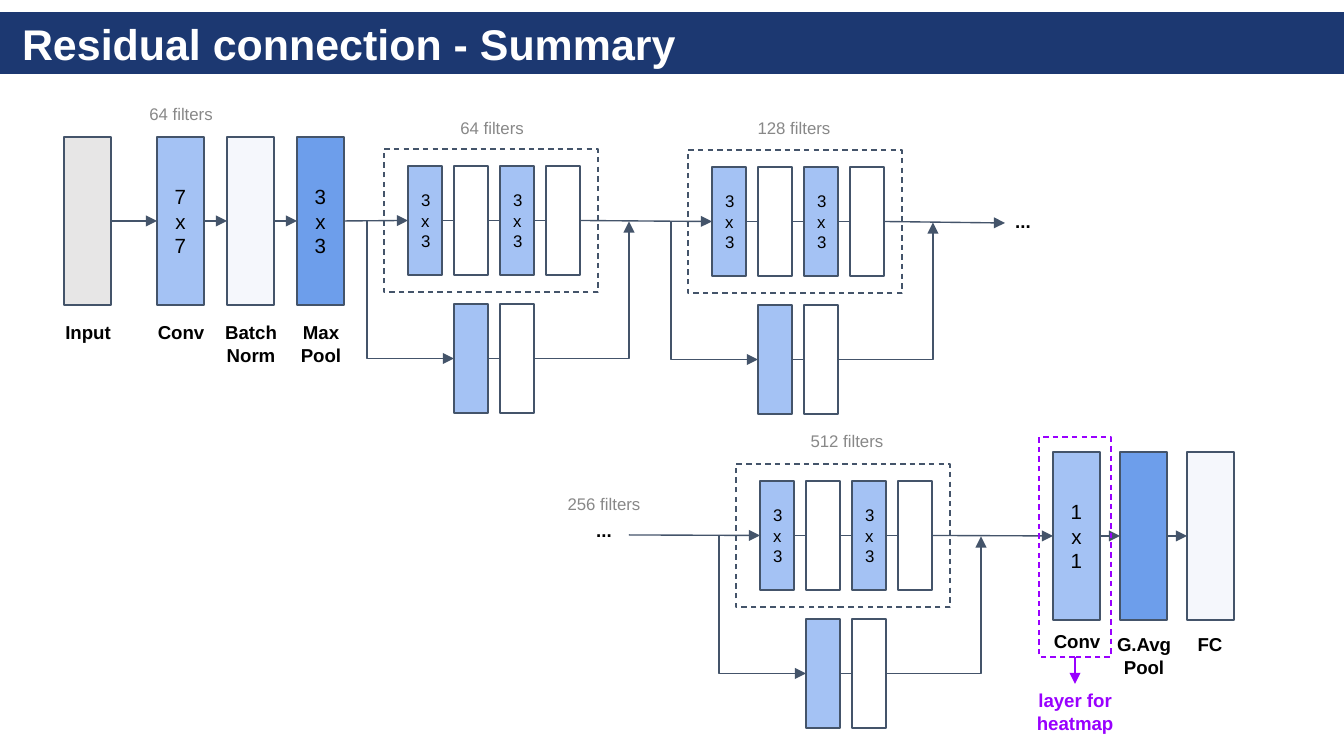
from itertools import pairwise
from lxml import etree
from pptx import Presentation
from pptx import util as u
from pptx.dml.color import RGBColor
from pptx.enum import dml, shapes, text
from pptx.oxml.ns import qn

PX = 914400 / 134.4
NAVY = RGBColor(0x00, 0x20, 0x60)
SLATE = RGBColor(0x44, 0x54, 0x6A)
GREY = RGBColor(0xE7, 0xE6, 0xE6)
LIGHT = RGBColor(0xA4, 0xC2, 0xF4)
PALE = RGBColor(0xF5, 0xF7, 0xFC)
BLUE = RGBColor(0x6D, 0x9E, 0xEB)
WHITE = RGBColor(0xFF, 0xFF, 0xFF)
BLACK = RGBColor(0, 0, 0)
MUTED = RGBColor(0x88, 0x88, 0x88)
PURPLE = RGBColor(0x99, 0x00, 0xFF)

TITLE = "Residual connection - Summary"
STEM = [(64, GREY, ""), (157, LIGHT, "7\nx\n7"), (227, PALE, ""), (297, BLUE, "3\nx\n3")]
HEAD = [(1053, LIGHT, "1\nx\n1"), (1120, BLUE, ""), (1187, PALE, "")]
STEM_TOP, HEAD_TOP = 137, 452
TALL_W, TALL_H = 47, 168
BLOCKS = [(408, 166), (712, 167), (760, 481)]
BAR_W, BAR_H, PITCH, DROP = 34, 109, 46, 138
MAIN_BARS = [(LIGHT, "3\nx\n3"), (WHITE, "")] * 2
SKIP_BARS = [(LIGHT, ""), (WHITE, "")]
HEATMAP_FRAME = (1039, 437, 72, 220)

NAMES = [
    ("Input", 88, 316, 88), ("Conv", 181, 316, 88), ("Batch\nNorm", 251, 316, 88),
    ("Max\nPool", 321, 316, 88), ("Conv", 1077, 625, 88), ("G.Avg\nPool", 1144, 628, 88),
    ("FC", 1210, 628, 88), ("...", 1023, 205, 42), ("...", 604, 514, 44),
]
FILTERS = [
    ("64 filters", 181, 99, 88), ("64 filters", 492, 113, 88), ("128 filters", 794, 113, 109),
    ("256 filters", 604, 489, 109), ("512 filters", 847, 426, 109),
]


def px(*values):
    return [u.Emu(round(v * PX)) for v in values]


def write(tf, words, size, color, bold=False):
    tf.text = words
    for p in tf.paragraphs:
        p.alignment = text.PP_ALIGN.CENTER
        p.font.name, p.font.size, p.font.bold = "Arial", u.Pt(size), bold
        p.font.color.rgb = color


def set_insets(tf, left=10):
    tf.margin_left, tf.margin_right, tf.margin_top, tf.margin_bottom = px(left, 10, 5, 5)


def rect(s, box, fill=None, words="", size=9, line=SLATE):
    sp = s.shapes.add_shape(shapes.MSO_SHAPE.RECTANGLE, *px(*box))
    sp.shadow.inherit = False
    sp.line.color.rgb = line
    sp.line.width = u.Pt(0.75)
    if fill is None:
        sp.fill.background()
        sp.line.dash_style = dml.MSO_LINE.DASH
    else:
        sp.fill.solid()
        sp.fill.fore_color.rgb = fill
    if words:
        write(sp.text_frame, words, size, BLACK)
        sp.text_frame.vertical_anchor = text.MSO_ANCHOR.MIDDLE
    return sp


def label(s, words, center, top, width, size, color, bold):
    sp = s.shapes.add_textbox(*px(center - width / 2, top, width, 32 + 23 * words.count("\n")))
    tf = sp.text_frame
    tf.word_wrap = True
    set_insets(tf)
    write(tf, words, size, color, bold)


def connector(s, points, arrow=True, color=SLATE, kind=shapes.MSO_CONNECTOR.STRAIGHT):
    cx = s.shapes.add_connector(kind, *px(*points))
    cx.line.color.rgb = color
    cx.line.width = u.Pt(0.75)
    if arrow:
        etree.SubElement(cx.line._get_or_add_ln(), qn("a:tailEnd"), type="triangle")
    etree.SubElement(cx._element.spPr, qn("a:effectLst"))
    return cx


def join(s, left, right, arrow=True):
    cx = connector(s, (0, 0, 0, 0), arrow)
    cx.begin_connect(left, 3)
    cx.end_connect(right, 1)


def elbow(s, points, turn=0):
    cx = connector(s, points, kind=shapes.MSO_CONNECTOR.ELBOW)
    cx._element.spPr.find(qn("a:prstGeom")).set("prst", "bentConnector2")
    if turn:
        cx._element.spPr.find(qn("a:xfrm")).set("rot", str(turn * 60000))


def down_then_right(s, x1, y1, x2, y2):
    mx, my, dx, dy = (x1 + x2) / 2, (y1 + y2) / 2, (x2 - x1) / 2, (y2 - y1) / 2
    elbow(s, (mx + dy, my - dx, mx - dy, my + dx), 270)


def bar_row(s, x, y, bars):
    row = [rect(s, (x + i * PITCH, y, BAR_W, BAR_H), fill, words)
           for i, (fill, words) in enumerate(bars)]
    for left, right in pairwise(row):
        join(s, left, right, arrow=False)
    return row


def residual_block(s, x, y):
    main = bar_row(s, x, y, MAIN_BARS)
    bar_row(s, x + PITCH, y + DROP, SKIP_BARS)
    mid = y + BAR_H / 2
    low = mid + DROP
    down_then_right(s, x - 41, mid + 1, x + PITCH, low)
    elbow(s, (x + 2 * PITCH + BAR_W, low, x + 221, mid + 1))
    rect(s, (x - 24, y - 17, 214, 143))
    return main[0], main[-1]


def tall_row(s, layers, top):
    row = [rect(s, (x, top, TALL_W, TALL_H), fill, words, 11) for x, fill, words in layers]
    for left, right in pairwise(row):
        join(s, left, right)
    return row


def add_title(s):
    sp = s.shapes.title
    sp.left, sp.top, sp.width, sp.height = px(0, 12, 1344, 62)
    sp.fill.solid()
    sp.fill.fore_color.rgb = NAVY
    srgb = sp._element.spPr.find(".//" + qn("a:srgbClr"))
    etree.SubElement(srgb, qn("a:alpha"), val="89000")
    tf = sp.text_frame
    write(tf, TITLE, 23, WHITE, True)
    tf.paragraphs[0].alignment = text.PP_ALIGN.LEFT
    tf.auto_size = text.MSO_AUTO_SIZE.NONE
    tf.vertical_anchor = text.MSO_ANCHOR.MIDDLE
    set_insets(tf, 22)


def main():
    prs = Presentation()
    prs.slide_width, prs.slide_height = px(1344, 756)
    s = prs.slides.add_slide(prs.slide_layouts[5])
    add_title(s)
    stem = tall_row(s, STEM, STEM_TOP)
    head = tall_row(s, HEAD, HEAD_TOP)
    first, second, last = [residual_block(s, x, y) for x, y in BLOCKS]
    join(s, stem[-1], first[0])
    join(s, first[1], second[0])
    join(s, last[1], head[0])
    connector(s, (886, 222, 1005, 223)).begin_connect(second[1], 3)
    connector(s, (629, 535, 760, 536)).end_connect(last[0], 1)
    frame = rect(s, HEATMAP_FRAME, line=PURPLE)
    connector(s, (1075, 657, 1075, 684), color=PURPLE).begin_connect(frame, 2)
    for name in NAMES:
        label(s, *name, 10, BLACK, True)
    for count in FILTERS:
        label(s, *count, 9, MUTED, False)
    label(s, "layer for heatmap", 1075, 684, 150, 10, PURPLE, True)
    prs.save("out.pptx")


if __name__ == "__main__":
    main()
